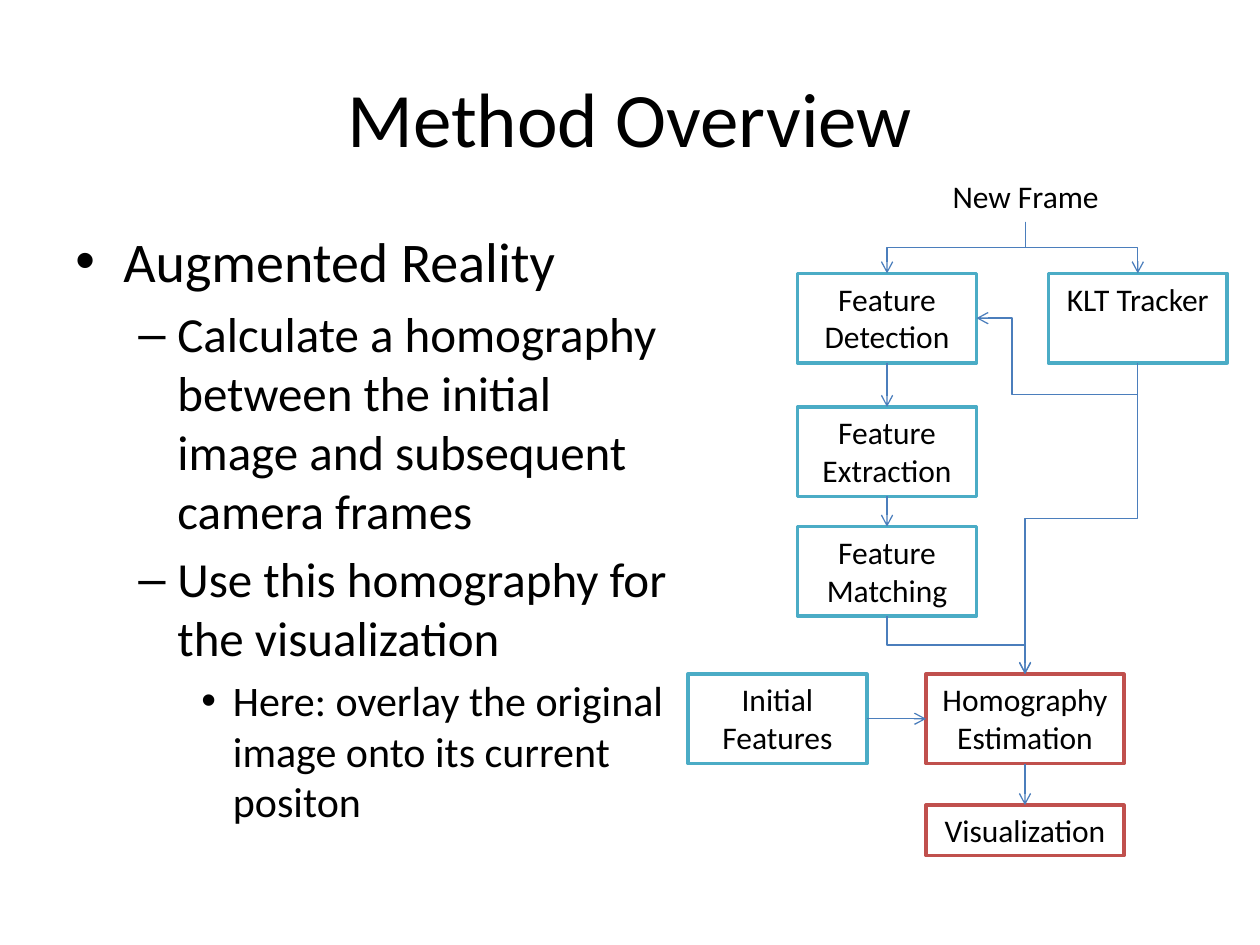
from dataclasses import dataclass

from lxml.etree import SubElement
from pptx import Presentation
from pptx.dml.color import RGBColor
from pptx.enum.shapes import MSO_CONNECTOR, MSO_SHAPE
from pptx.enum.text import MSO_ANCHOR, PP_ALIGN
from pptx.oxml.ns import qn
from pptx.util import Inches, Pt


@dataclass(frozen=True)
class Theme:
    font: str = "Calibri"
    ink: str = "000000"
    paper: str = "FFFFFF"
    teal: str = "4BACC6"
    red: str = "C0504D"
    wire: str = "4B7EBC"
    title: int = 44
    levels: tuple = (32, 28, 24)
    label: int = 18
    border: float = 2
    thin: float = 0.75


@dataclass(frozen=True)
class Box:
    name: str
    left: float
    top: float
    color: str
    width: float = 1.42
    height: float = 0.71


@dataclass(frozen=True)
class Link:
    start: str
    end: str
    out: int = 2
    into: int = 0
    bent: bool = False
    bends: tuple = ()


@dataclass(frozen=True)
class Point:
    text: str
    level: int


THEME = Theme()
TOP, LEFT, BOTTOM, RIGHT = range(4)
BULLETS = (("•", 0.38, 0.38), ("–", 0.81, 0.31), ("•", 1.25, 0.25))
COLUMN, CENTER = 6.33, 7.35

BOXES = (
    Box("Homography Estimation", CENTER, 5.35, THEME.red, 1.57),
    Box("Feature Extraction", COLUMN, 3.23, THEME.teal),
    Box("Feature Matching", COLUMN, 4.18, THEME.teal),
    Box("KLT Tracker", 8.32, 2.17, THEME.teal),
    Box("Feature Detection", COLUMN, 2.17, THEME.teal),
    Box("Initial Features", 5.46, 5.35, THEME.teal),
    Box("Visualization", CENTER, 6.39, THEME.red, 1.57, 0.4),
    Box("New Frame", 7.43, 1.36, THEME.paper, height=0.4),
)

LINKS = (
    Link("New Frame", "Feature Detection", bent=True),
    Link("New Frame", "KLT Tracker", bent=True),
    Link("Feature Detection", "Feature Extraction"),
    Link("Feature Extraction", "Feature Matching"),
    Link("Feature Matching", "Homography Estimation", bent=True),
    Link("KLT Tracker", "Homography Estimation", bent=True),
    Link("KLT Tracker", "Feature Detection", into=RIGHT, bent=True,
         bends=(-0.71, 0.78)),
    Link("Initial Features", "Homography Estimation", out=RIGHT, into=LEFT),
    Link("Homography Estimation", "Visualization"),
)

POINTS = (
    Point("Augmented Reality", 0),
    Point("Calculate a homography between the initial image and "
          "subsequent camera frames", 1),
    Point("Use this homography for the visualization", 1),
    Point("Here: overlay the original image onto its current positon", 2),
)


def write(frame, text: str, *, size: float, align=PP_ALIGN.LEFT,
          level: int | None = None, fresh: bool = False) -> None:
    para = frame.add_paragraph() if fresh else frame.paragraphs[0]
    para.alignment = align
    run = para.add_run()
    run.text = text
    run.font.name = THEME.font
    run.font.size = Pt(size)
    run.font.color.rgb = RGBColor.from_string(THEME.ink)
    if level is not None:
        mark, left, hang = BULLETS[level]
        para.level = level
        para.space_before = Pt(size * 0.2)
        props = para._p.get_or_add_pPr()
        props.set("marL", str(Inches(left)))
        props.set("indent", str(-Inches(hang)))
        SubElement(props, qn("a:buFont")).set("typeface", "Arial")
        SubElement(props, qn("a:buChar")).set("char", mark)


def add_frame(slide, left: float, top: float, width: float, height: float):
    area = slide.shapes.add_textbox(
        Inches(left), Inches(top), Inches(width), Inches(height))
    area.text_frame.word_wrap = True
    return area.text_frame


def draw_box(slide, box: Box):
    shape = slide.shapes.add_shape(
        MSO_SHAPE.RECTANGLE, Inches(box.left), Inches(box.top),
        Inches(box.width), Inches(box.height))
    shape.shadow.inherit = False
    shape.fill.solid()
    shape.fill.fore_color.rgb = RGBColor.from_string(THEME.paper)
    shape.line.color.rgb = RGBColor.from_string(box.color)
    shape.line.width = Pt(THEME.border)
    frame = shape.text_frame
    frame.word_wrap = True
    frame.vertical_anchor = MSO_ANCHOR.TOP
    write(frame, box.name, size=THEME.label, align=PP_ALIGN.CENTER)
    return shape


def turn(line, bends: tuple) -> None:
    across = line.end_x - line.begin_x
    down = line.end_y - line.begin_y
    mid_x = (line.begin_x + line.end_x) // 2
    mid_y = (line.begin_y + line.end_y) // 2
    line.width, line.height = abs(down), abs(across)
    line.left = mid_x - line.width // 2
    line.top = mid_y - line.height // 2
    frame = line._element.spPr.find(qn("a:xfrm"))
    for key in ("flipH", "flipV"):
        frame.attrib.pop(key, None)
    frame.set("rot", str((270 if across > 0 else 90) * 60000))
    if (across > 0) != (down < 0):
        frame.set("flipH", "1")
    if bends:
        shape = line._element.spPr.find(qn("a:prstGeom"))
        shape.set("prst", f"bentConnector{len(bends) + 2}")
        guides = shape.find(qn("a:avLst"))
        for place, bend in enumerate(bends, 1):
            guide = SubElement(guides, qn("a:gd"))
            guide.set("name", f"adj{place}")
            guide.set("fmla", f"val {round(bend * 100000)}")


def draw_link(slide, link: Link, nodes: dict) -> None:
    kind = MSO_CONNECTOR.ELBOW if link.bent else MSO_CONNECTOR.STRAIGHT
    line = slide.shapes.add_connector(kind, 0, 0, 0, 0)
    line.begin_connect(nodes[link.start], link.out)
    line.end_connect(nodes[link.end], link.into)
    if link.bent:
        turn(line, link.bends)
    line.line.color.rgb = RGBColor.from_string(THEME.wire)
    line.line.width = Pt(THEME.thin)
    SubElement(line.line._get_or_add_ln(), qn("a:tailEnd")).set("type", "arrow")
    SubElement(line._element.spPr, qn("a:effectLst"))


def main() -> None:
    deck = Presentation()
    deck.slide_width, deck.slide_height = Inches(10), Inches(7.5)
    slide = deck.slides.add_slide(deck.slide_layouts[6])

    head = add_frame(slide, 0.5, 0.3, 9, 1.25)
    head.vertical_anchor = MSO_ANCHOR.MIDDLE
    write(head, "Method Overview", size=THEME.title, align=PP_ALIGN.CENTER)

    body = add_frame(slide, 0.5, 1.75, 4.89, 4.95)
    for place, point in enumerate(POINTS):
        write(body, point.text, size=THEME.levels[point.level],
              level=point.level, fresh=place > 0)

    nodes = {box.name: draw_box(slide, box) for box in BOXES}
    for link in LINKS:
        draw_link(slide, link, nodes)
    deck.save("out.pptx")


if __name__ == "__main__":
    main()
